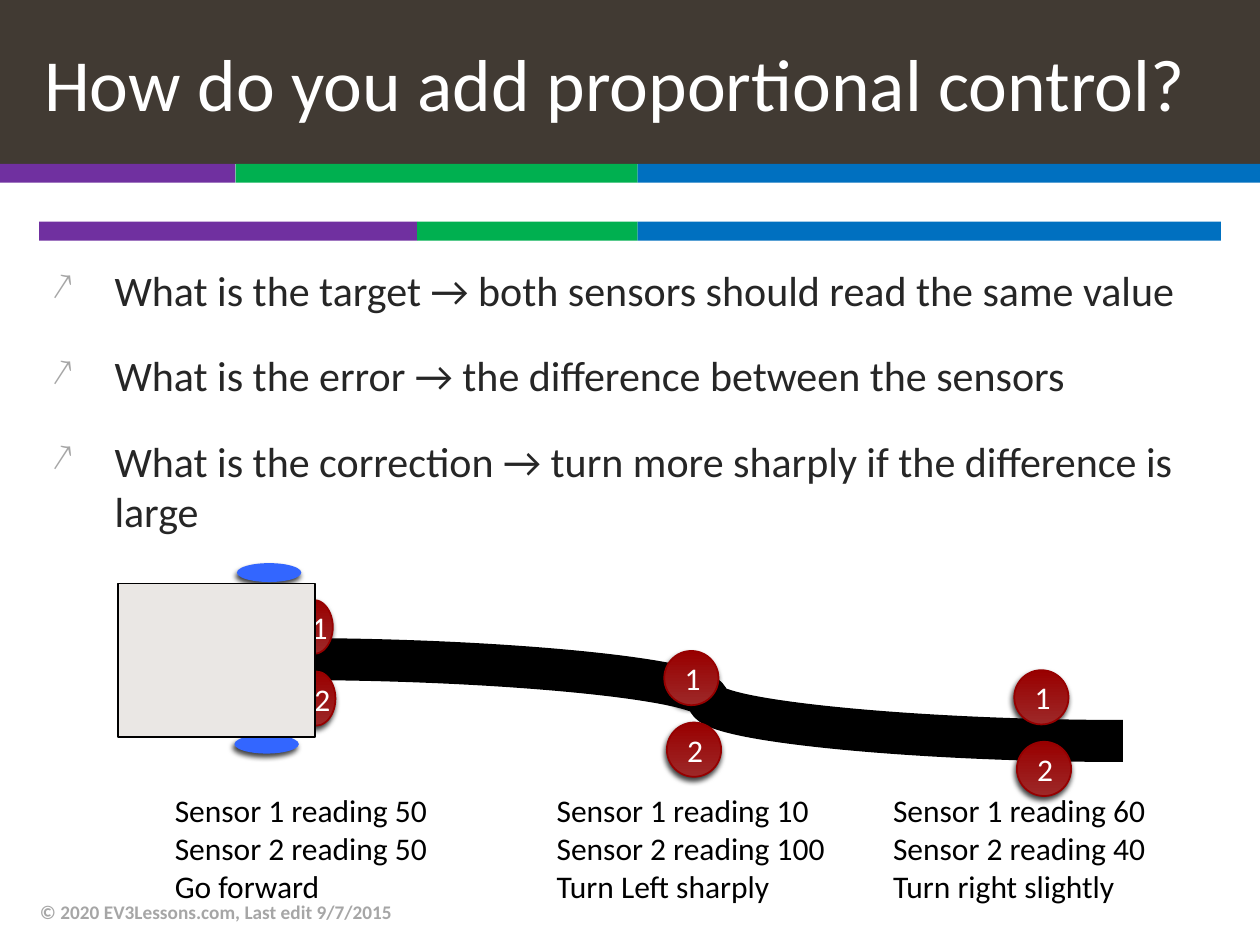
"""Build the slide on adding proportional control with two sensors."""
from dataclasses import dataclass
from typing import Optional

from lxml.etree import SubElement
from pptx import Presentation
from pptx.dml.color import RGBColor
from pptx.enum.shapes import MSO_CONNECTOR, MSO_SHAPE
from pptx.enum.text import MSO_ANCHOR, MSO_AUTO_SIZE, PP_ALIGN
from pptx.oxml.ns import qn
from pptx.shapes.autoshape import Shape
from pptx.shapes.shapetree import GroupShapes, SlideShapes
from pptx.text.text import TextFrame, _Paragraph
from pptx.util import Pt

Tree = SlideShapes | GroupShapes


@dataclass(frozen=True)
class Theme:
    """Hold the colours, font and type sizes."""
    font: str = "Calibri"
    head: int = 42
    body: int = 24
    label: int = 18
    foot: int = 11
    dark: str = "413A33"
    white: str = "FFFFFF"
    black: str = "000000"
    ink: str = "262626"
    grey: str = "A6A6A6"
    shell: str = "EAE7E4"
    wheel: str = "3366FF"
    rim: str = "960000"
    glow: tuple[str, str] = ("9D2828", "990000")
    bands: tuple[str, ...] = ("7030A0", "00B050", "0070C0")


@dataclass(frozen=True)
class Box:
    """Hold a place and size in points."""
    left: float
    top: float
    width: float
    height: float

    def place(self) -> tuple[Pt, Pt, Pt, Pt]:
        """Return the four lengths."""
        return Pt(self.left), Pt(self.top), Pt(self.width), Pt(self.height)


@dataclass(frozen=True)
class Stripe:
    """Hold the top of a striped bar and the edges of its parts."""
    top: float
    edges: tuple[float, ...]


@dataclass(frozen=True)
class Pair:
    """Hold the place of sensor 1 and the width of both."""
    left: float
    top: float
    width: float


@dataclass(frozen=True)
class Note:
    """Hold the lines and place of a reading."""
    left: float
    width: float
    lines: tuple[str, ...]


THEME = Theme()
STRIPES = (
    Stripe(93.6, (0, 134.6, 364.4, 720)),
    Stripe(126.7, (22.4, 238.4, 364.4, 697.6)),
)
POINTS = (
    "What is the target → both sensors should read the same value",
    "What is the error → the difference between the sensors",
    "What is the correction → turn more sharply if the difference is large",
)
NEAR = Pair(167.8, 342.8, 22.4)
PAIRS = (Pair(379.6, 372, 31), Pair(579.6, 383, 31))
NOTES = (
    Note(92.8, 187.2, ("Sensor 1 reading 50", "Sensor 2 reading 50", "Go forward")),
    Note(311, 180.8, ("Sensor 1 reading 10", "Sensor 2 reading 100 Turn Left sharply")),
    Note(503.2, 159.4, ("Sensor 1 reading 60", "Sensor 2 reading 40 Turn right slightly")),
)


def tint(code: str) -> RGBColor:
    """Turn a hex code into a colour."""
    return RGBColor.from_string(code)


def write(para: _Paragraph, text: str, size: int, hue: str, bold: bool = False) -> None:
    """Add one run to a paragraph."""
    run = para.add_run()
    run.text = text
    run.font.name = THEME.font
    run.font.size = Pt(size)
    run.font.bold = bold
    run.font.color.rgb = tint(hue)


def add_form(tree: Tree, kind: MSO_SHAPE, box: Box, fill: Optional[str],
             line: Optional[str] = None) -> Shape:
    """Draw a flat shape, with the sensor blend when no fill is given."""
    form = tree.add_shape(kind, *box.place())
    form.shadow.inherit = False
    if fill:
        form.fill.solid()
        form.fill.fore_color.rgb = tint(fill)
    else:
        form.fill.gradient()
        form.fill.gradient_angle = 90
        for stop, hue in zip(form.fill.gradient_stops, THEME.glow):
            stop.color.rgb = tint(hue)
    if line:
        form.line.color.rgb = tint(line)
        form.line.width = Pt(1)
    else:
        form.line.fill.background()
    return form


def add_oval(tree: Tree, box: Box, fill: Optional[str], line: Optional[str] = None) -> Shape:
    """Draw an oval with a soft shadow."""
    oval = add_form(tree, MSO_SHAPE.OVAL, box, fill, line)
    list_ = oval.element.spPr.find(qn("a:effectLst"))
    shade = SubElement(list_, qn("a:outerShdw"), blurRad=str(Pt(3)), dist=str(Pt(2)),
                       dir=str(110 * 60000), algn="tl", rotWithShape="0")
    hue = SubElement(shade, qn("a:srgbClr"), val=THEME.black)
    SubElement(hue, qn("a:alpha"), val="75000")
    return oval


def add_pair(tree: Tree, pair: Pair) -> None:
    """Draw sensors 1 and 2, one below the other."""
    for step in range(2):
        box = Box(pair.left + 1.5 * step, pair.top + 40.9 * step, pair.width, 31)
        frame = add_oval(tree, box, None, THEME.rim).text_frame
        frame.vertical_anchor = MSO_ANCHOR.MIDDLE
        para = frame.paragraphs[0]
        para.alignment = PP_ALIGN.CENTER
        write(para, str(step + 1), THEME.label, THEME.white)


def add_text(tree: Tree, box: Box, lines: tuple[str, ...], size: int, hue: str,
             bold: bool = False) -> TextFrame:
    """Add a text box with one paragraph a line."""
    frame = tree.add_textbox(*box.place()).text_frame
    frame.word_wrap = True
    for row, line in enumerate(lines):
        para = frame.add_paragraph() if row else frame.paragraphs[0]
        write(para, line, size, hue, bold)
    return frame


def add_title(title: Shape, text: str) -> None:
    """Place and fill the title."""
    title.left, title.top, title.width, title.height = Box(0, 0, 720, 93.6).place()
    title.fill.solid()
    title.fill.fore_color.rgb = tint(THEME.dark)
    frame = title.text_frame
    frame.auto_size = MSO_AUTO_SIZE.NONE
    frame.vertical_anchor = MSO_ANCHOR.MIDDLE
    para = frame.paragraphs[0]
    para.alignment = PP_ALIGN.LEFT
    props = para._p.get_or_add_pPr()
    props.set("marL", str(Pt(18)))
    props.set("indent", "0")
    write(para, text, THEME.head, THEME.white)


def add_points(tree: Tree) -> None:
    """Add the list with arrow bullets."""
    frame = add_text(tree, Box(22.4, 147.6, 675.2, 203.8), POINTS, THEME.body, THEME.ink)
    for row, para in enumerate(frame.paragraphs):
        para.space_before = Pt(20 if row else 0)
        props = para._p.get_or_add_pPr()
        props.set("marL", str(Pt(36)))
        props.set("indent", str(-Pt(36)))
        SubElement(SubElement(props, qn("a:buClr")), qn("a:srgbClr"), val=THEME.grey)
        SubElement(props, qn("a:buSzPct"), val="90000")
        SubElement(props, qn("a:buChar"), char="↗")


def add_track(tree: Tree) -> None:
    """Draw the curved black line."""
    track = tree.add_connector(MSO_CONNECTOR.CURVE, Pt(167.8), Pt(376.6), Pt(641.6), Pt(423.4))
    track.line.color.rgb = tint(THEME.black)
    track.line.width = Pt(24)
    SubElement(track.element.spPr, qn("a:effectLst"))


def add_robot(tree: Tree) -> None:
    """Draw the robot with its wheels and sensors."""
    parts = tree.add_group_shape().shapes
    for left, top in ((135.4, 321.8), (134, 419.8)):
        add_oval(parts, Box(left, top, 36.8, 10.8), THEME.wheel)
    add_pair(parts, NEAR)
    add_form(parts, MSO_SHAPE.RECTANGLE, Box(67.6, 333.4, 112.4, 87.8), THEME.shell, THEME.black)


def main() -> None:
    """Build and save the slide."""
    deck = Presentation()
    deck.slide_width, deck.slide_height = Pt(720), Pt(540)
    tree = deck.slides.add_slide(deck.slide_layouts[5]).shapes
    add_title(tree.title, "How do you add proportional control?")
    for bar in STRIPES:
        for start, end, hue in zip(bar.edges, bar.edges[1:], THEME.bands):
            add_form(tree, MSO_SHAPE.RECTANGLE, Box(start, bar.top, end - start, 10.8), hue)
    add_points(tree)
    foot = add_text(tree, Box(15.8, 506.9, 482.4, 28.8),
                    ("© 2020 EV3Lessons.com, Last edit 9/7/2015",), THEME.foot, THEME.grey, True)
    foot.vertical_anchor = MSO_ANCHOR.MIDDLE
    add_track(tree)
    add_robot(tree)
    for pair in PAIRS:
        add_pair(tree, pair)
    for note in NOTES:
        add_text(tree, Box(note.left, 448.6, note.width, 72.7), note.lines,
                 THEME.label, THEME.black)
    deck.save("out.pptx")


if __name__ == "__main__":
    main()
